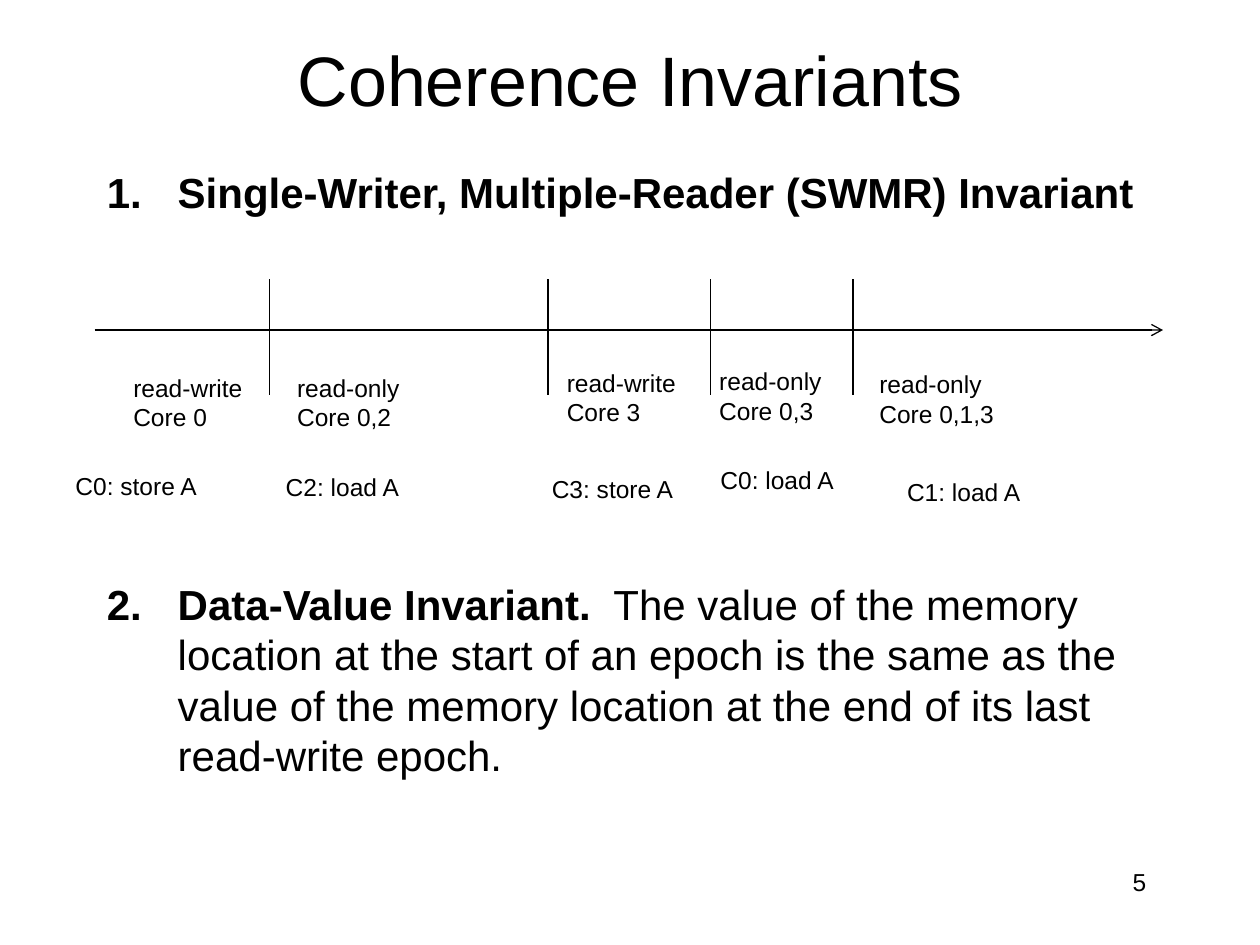
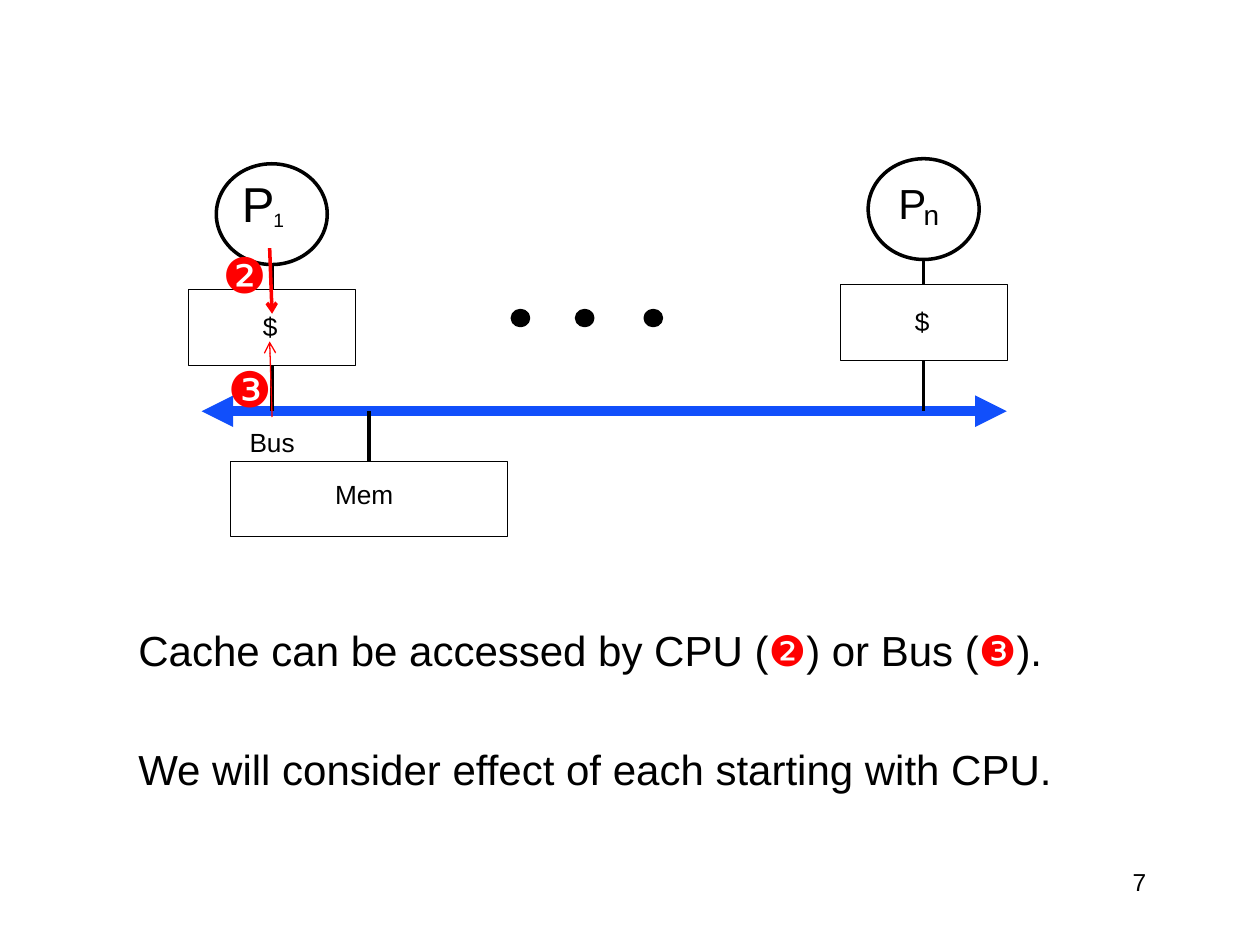
from dataclasses import dataclass

from lxml import etree
from pptx import Presentation
from pptx.dml.color import RGBColor
from pptx.enum import shapes, text
from pptx.oxml import ns
from pptx.util import Pt


@dataclass(frozen=True)
class Theme:
    font: str = "Arial"
    ink: str = "000000"
    paper: str = "FFFFFF"
    accent: str = "FF0000"
    bus: str = "114FFB"
    title: int = 40
    body: int = 24
    badge: int = 28
    label: int = 15
    note: int = 14
    hairline: float = 0.63
    thin: float = 0.75
    thick: float = 2
    dot_line: float = 2.63
    bus_line: float = 6


THEME = Theme()
TITLE_BOX = (54, 0, 612, 90)
PAGE_BOX = (516, 492, 150, 36)
NO_INSET = (0, 0)
BUS_Y = 235
CACHE_SIZE = (95.4, 43.2)
CIRCLE_SIZE = (63.4, 57.6)


def color(value):
    return RGBColor.from_string(value)


def write_text(frame, paragraphs, size=THEME.note, ink=THEME.ink, bold=False,
               align=text.PP_ALIGN.LEFT, gap=0, indent=0, numbered=False):
    for index, runs in enumerate(paragraphs):
        paragraph = frame.paragraphs[0] if index == 0 else frame.add_paragraph()
        paragraph.alignment = align
        paragraph.space_before = Pt(gap if index else 0)
        properties = paragraph._p.get_or_add_pPr()
        properties.set("marL", str(Pt(indent)))
        properties.set("indent", str(Pt(-indent if numbered else 0)))
        bullet = etree.SubElement(properties, ns.qn("a:buAutoNum" if numbered else "a:buNone"))
        if numbered:
            bullet.set("type", "arabicPeriod")
        for run_text, changes in runs:
            run = paragraph.add_run()
            run.text = run_text
            run.font.name = THEME.font
            run.font.size = Pt(size)
            run.font.bold = changes.get("bold", bold)
            run.font.color.rgb = color(changes.get("ink", ink))


def add_text(slide, content, box, insets=(7.2, 3.6), right_inset=0, **style):
    frame = slide.shapes.add_textbox(*map(Pt, box)).text_frame
    frame.word_wrap = True
    frame.margin_left, frame.margin_top = map(Pt, insets)
    frame.margin_right = Pt(right_inset)
    frame.margin_bottom = 0
    if isinstance(content, str):
        content = [[(line, {})] for line in content.split("\n")]
    write_text(frame, content, **style)


def add_title(slide, title_text):
    title = slide.shapes.title
    title.left, title.top, title.width, title.height = map(Pt, TITLE_BOX)
    title.text_frame.vertical_anchor = text.MSO_ANCHOR.MIDDLE
    write_text(title.text_frame, [[(title_text, {})]],
               size=THEME.title, align=text.PP_ALIGN.CENTER)


def add_page_number(slide, number):
    add_text(slide, f"{number} ", PAGE_BOX, right_inset=7.2, align=text.PP_ALIGN.RIGHT)


def add_line(slide, start, end, ink=THEME.ink, width=THEME.thin, head=None, tail=None):
    line = slide.shapes.add_connector(
        shapes.MSO_CONNECTOR.STRAIGHT, *map(Pt, (*start, *end)))
    line.line.color.rgb = color(ink)
    line.line.width = Pt(width)
    outline = line.line._get_or_add_ln()
    for tag, kind in (("a:headEnd", head), ("a:tailEnd", tail)):
        if kind:
            etree.SubElement(outline, ns.qn(tag)).set("type", kind)
    etree.SubElement(line._element.spPr, ns.qn("a:effectLst"))
    return line


def add_figure(slide, kind, box, fill=THEME.paper, width=THEME.hairline):
    shape = slide.shapes.add_shape(kind, *map(Pt, box))
    shape.shadow.inherit = False
    shape.fill.solid()
    shape.fill.fore_color.rgb = color(fill)
    shape.line.color.rgb = color(THEME.ink)
    shape.line.width = Pt(width)
    return shape


def add_processor(slide, center, top):
    circle_width, circle_height = CIRCLE_SIZE
    cache_width, cache_height = CACHE_SIZE
    circle_bottom = top + circle_height
    cache_top = circle_bottom + 14.4
    add_figure(slide, shapes.MSO_SHAPE.OVAL,
               (center - circle_width / 2, top, *CIRCLE_SIZE), width=THEME.thick)
    cache = add_figure(slide, shapes.MSO_SHAPE.RECTANGLE,
                       (center - cache_width / 2, cache_top, *CACHE_SIZE))
    cpu_link = add_line(slide, (center, circle_bottom), (center, cache_top), width=THEME.thick)
    cpu_link.end_connect(cache, 0)
    bus_link = add_line(slide, (center, cache_top + cache_height), (center, BUS_Y),
                        width=THEME.thick)
    bus_link.begin_connect(cache, 2)
    add_text(slide, "$", (center - 5, cache_top + 11.5, 16.6, 36),
             insets=NO_INSET, size=THEME.label)


def build_invariants(slide):
    add_title(slide, "Coherence Invariants")
    add_text(slide, [
        [("Single-Writer, Multiple-Reader (SWMR) Invariant", {})],
        [("Data-Value Invariant.", {}),
         ("  The value of the memory location at the start of an epoch is the same as "
          "the value of the memory location at the end of its last read-write epoch.",
          {"bold": False})],
    ], (54, 90, 612, 390), insets=(7.2, 5), size=THEME.body, bold=True,
        gap=206.7, indent=40.5, numbered=True)
    add_page_number(slide, 5)

    add_line(slide, (54, 188.6), (664.6, 188.6), tail="arrow")
    for boundary in (154.1, 313.2, 406.1, 487.4):
        add_line(slide, (boundary, 159.7), (boundary, 225.5))

    epochs = (
        ("read-write\nCore 0", 69.1, 209.5, "C0: store A", 36, 265.7),
        ("read-only\nCore 0,2", 162.7, 209.5, "C2: load A", 156.2, 266.4),
        ("read-write\nCore 3", 316.8, 206.6, "C3: store A", 308.2, 267.1),
        ("read-only\nCore 0,3", 403.9, 205.9, "C0: load A", 404.6, 262.1),
        ("read-only\nCore 0,1,3", 495.4, 207.4, "C1: load A", 511.2, 269.3),
    )
    for permission, left, top, access, access_left, access_top in epochs:
        add_text(slide, permission, (left, top, 80, 41))
        add_text(slide, access, (access_left, access_top, 84, 24.5))


def build_bus(slide):
    red = {"ink": THEME.accent}
    add_text(slide, [
        [("Cache can be accessed by CPU (", {}), ("❷", red), (") or Bus (", {}),
         ("❸", red), (").", {})],
        [("We will consider effect of each starting with CPU.", {})],
    ], (44.6, 352.1, 579, 115), insets=(7.2, 5), size=THEME.body, gap=38.7, indent=27.4)
    add_page_number(slide, 7)

    add_line(slide, (115.2, BUS_Y), (575.3, BUS_Y), ink=THEME.bus,
             width=THEME.bus_line, head="triangle", tail="triangle")
    memory = add_figure(slide, shapes.MSO_SHAPE.RECTANGLE, (131.8, 263.5, 158.4, 43.2))
    memory_link = add_line(slide, (211, BUS_Y), (211, 263.5), width=THEME.thick)
    memory_link.end_connect(memory, 0)
    add_processor(slide, 155.3, 93.6)
    add_processor(slide, 527.8, 90.7)

    labels = (
        ("Mem", (191.5, 273.6, 67, 36), THEME.label),
        ("Bus", (142.6, 243.4, 52, 36), THEME.label),
        ("P", (138.2, 99.4, 20, 34), 28),
        ("1", (156.2, 119.2, 11, 14), 11),
        ("P", (513.4, 101.5, 17, 29), 24),
        ("n", (527.8, 112.8, 10, 20), 16),
    )
    for label, box, size in labels:
        add_text(slide, label, box, insets=NO_INSET, size=size)

    for center in (297.4, 334.1, 373.3):
        add_figure(slide, shapes.MSO_SHAPE.OVAL, (center - 4.3, 177.8, 8.6, 7.9),
                   fill=THEME.ink, width=THEME.dot_line)

    accesses = (
        ("❷", (154.1, 141.8), (155.5, 179.3), THEME.thick, (120.2, 136.1)),
        ("❸", (155.5, 238.3), (154.1, 195.1), THEME.thin, (123.1, 201.6)),
    )
    for badge, start, end, width, corner in accesses:
        add_line(slide, start, end, ink=THEME.accent, width=width, tail="arrow")
        add_text(slide, badge, (*corner, 39.6, 41), size=THEME.badge, ink=THEME.accent)


def main():
    presentation = Presentation()
    presentation.slide_width, presentation.slide_height = Pt(720), Pt(540)
    title_only, blank = presentation.slide_layouts[5], presentation.slide_layouts[6]
    build_invariants(presentation.slides.add_slide(title_only))
    build_bus(presentation.slides.add_slide(blank))
    presentation.save("out.pptx")


if __name__ == "__main__":
    main()
